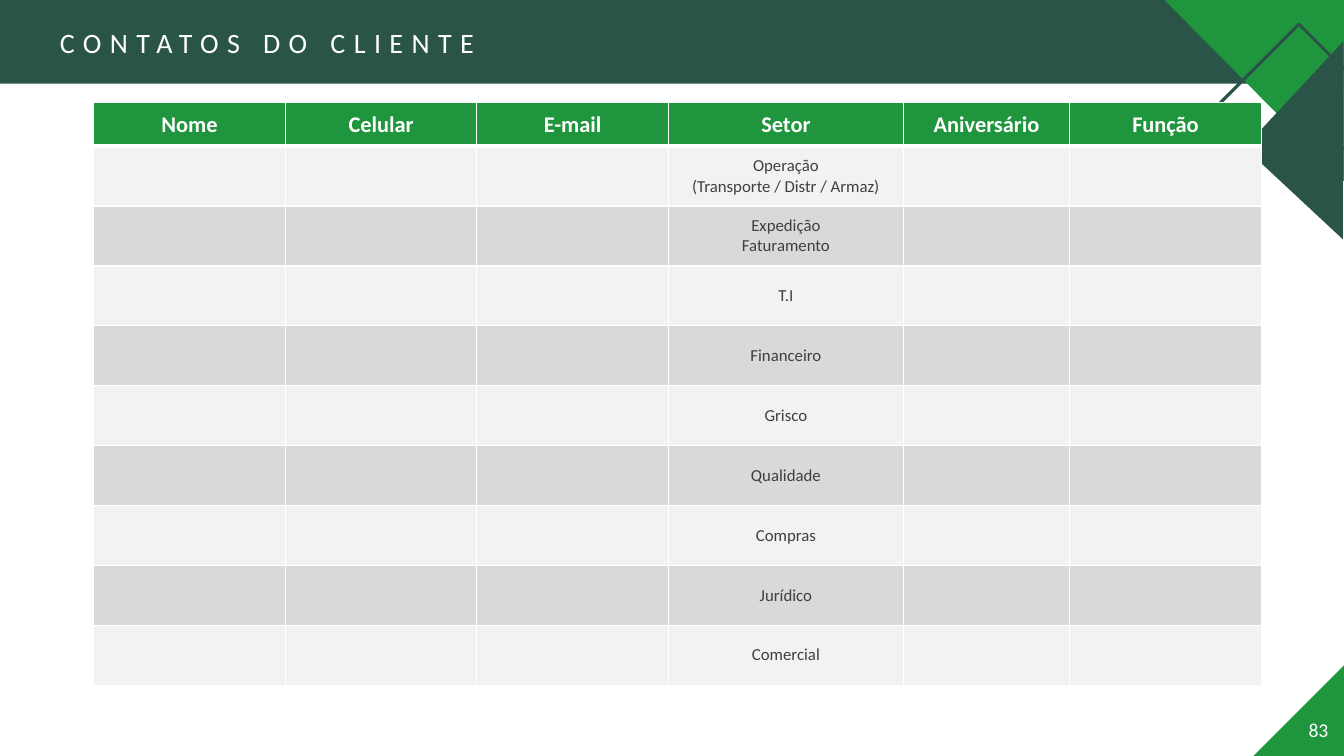
from dataclasses import dataclass

from lxml import etree
from pptx import Presentation
from pptx.dml.color import RGBColor
from pptx.enum.shapes import MSO_SHAPE
from pptx.enum.text import MSO_ANCHOR, MSO_AUTO_SIZE, PP_ALIGN
from pptx.oxml.ns import qn
from pptx.util import Inches, Pt

RECTANGLE = MSO_SHAPE.RECTANGLE
TRIANGLE = MSO_SHAPE.RIGHT_TRIANGLE
LEFT, CENTER = PP_ALIGN.LEFT, PP_ALIGN.CENTER
TOP, MIDDLE = MSO_ANCHOR.TOP, MSO_ANCHOR.MIDDLE
NO_AUTOFIT = MSO_AUTO_SIZE.NONE
TITLE_ONLY_LAYOUT = 5


@dataclass(frozen=True)
class Theme:
    font: str = "Calibri"
    green: str = "1F953D"
    dark: str = "2A5448"
    white: str = "FFFFFF"
    text: str = "3F3F3F"
    bands: tuple = ("F2F2F2", "D9D9D9")
    title_size: int = 20
    header_size: int = 16
    number_size: int = 14
    body_size: int = 12


@dataclass(frozen=True)
class Box:
    left: float
    top: float
    width: float
    height: float

    def share(self, x, y, width, height):
        """Return the box at the given shares of this one."""
        return Box(self.left + x * self.width, self.top + y * self.height,
                   width * self.width, height * self.height)

    def lengths(self):
        return [Inches(value) for value in
                (self.left, self.top, self.width, self.height)]


THEME = Theme()
SLIDE = Box(0, 0, 13.33, 7.5)
BAND = Box(0, 0, 13.33, 0.83)
TOP_CORNER = Box(11.55, 0, 1.78, 2.4)
BOTTOM_CORNER = Box(12.42, 6.59, 0.92, 0.92)
TABLE = Box(0.93, 1.02, 11.59, 5.78)

HEADER_HEIGHT = 0.43
COLUMNS = {"Nome": 1.9, "Celular": 1.9, "E-mail": 1.9,
           "Setor": 2.33, "Aniversário": 1.65, "Função": 1.9}
SECTORS = ["Operação\n(Transporte / Distr / Armaz)", "Expedição\nFaturamento",
           "T.I", "Financeiro", "Grisco", "Qualidade", "Compras", "Jurídico",
           "Comercial"]


def color(value):
    return RGBColor.from_string(value)


def write(frame, text, size, ink=THEME.white, bold=False, align=LEFT,
          anchor=TOP, spacing=0):
    frame.text = text
    frame.vertical_anchor = anchor
    for paragraph in frame.paragraphs:
        paragraph.alignment = align
        for run in paragraph.runs:
            font = run.font
            font.name, font.size, font.bold = THEME.font, Pt(size), bold
            font.color.rgb = color(ink)
            if spacing:
                font._element.set("spc", str(spacing * 100))


def add_figure(slide, kind, box, fill=None, line=None, rotation=0):
    shape = slide.shapes.add_shape(kind, *box.lengths())
    shape.shadow.inherit = False
    shape.rotation = rotation
    if fill:
        shape.fill.solid()
        shape.fill.fore_color.rgb = color(fill)
    else:
        shape.fill.background()
    if line:
        shape.line.color.rgb = color(line)
        shape.line.width = Pt(2.25)
    else:
        shape.line.fill.background()


def add_page_corner(slide, box, number):
    add_figure(slide, TRIANGLE, box, THEME.green, rotation=270)
    label = slide.shapes.add_textbox(*box.share(0.5, 0.53, 0.59, 0.37).lengths())
    write(label.text_frame, number, THEME.number_size)


def add_title_band(slide, box, text):
    add_figure(slide, RECTANGLE, box, THEME.dark)
    title = slide.shapes.title
    title.left, title.top, title.width, title.height = box.share(
        0.037, 0.24, 0.49, 0.53).lengths()
    frame = title.text_frame
    frame.auto_size = NO_AUTOFIT
    frame.word_wrap = True
    write(frame, text, THEME.title_size, spacing=6)
    slide.shapes._spTree.append(title._element)  # in front of the band


def add_top_corner(slide, box):
    add_figure(slide, TRIANGLE, box.share(0, 0, 1, 0.75), THEME.green,
               rotation=180)
    add_figure(slide, TRIANGLE, box.share(0.62, 0.28, 0.75, 0.6), THEME.dark,
               rotation=43)
    add_figure(slide, TRIANGLE, box.share(0.26, 0.25, 0.98, 0.73),
               line=THEME.dark, rotation=135)


def add_borders(cell, bottom):
    properties = cell._tc.get_or_add_tcPr()
    widths = {"a:lnL": 1, "a:lnR": 1, "a:lnT": 1, "a:lnB": bottom}
    for position, (tag, width) in enumerate(widths.items()):
        line = etree.Element(qn(tag), w=str(Pt(width)))
        fill = etree.SubElement(line, qn("a:solidFill"))
        etree.SubElement(fill, qn("a:srgbClr"), val=THEME.white)
        properties.insert(position, line)


def paint_cell(cell, fill, bottom=1):
    cell.fill.solid()
    cell.fill.fore_color.rgb = color(fill)
    add_borders(cell, bottom)


def add_contact_table(slide, box):
    rows = len(SECTORS) + 1
    table = slide.shapes.add_table(rows, len(COLUMNS), *box.lengths()).table
    row_height = (box.height - HEADER_HEIGHT) / len(SECTORS)
    for index, row in enumerate(table.rows):
        row.height = Inches(row_height if index else HEADER_HEIGHT)
    sector_column = list(COLUMNS).index("Setor")
    for column, (heading, width) in enumerate(COLUMNS.items()):
        table.columns[column].width = Inches(width)
        header = table.cell(0, column)
        write(header.text_frame, heading, THEME.header_size, bold=True,
              align=CENTER)
        header.vertical_anchor = MIDDLE
        paint_cell(header, THEME.green, bottom=3)
        for row, sector in enumerate(SECTORS):
            cell = table.cell(row + 1, column)
            paint_cell(cell, THEME.bands[row % 2])
            if column == sector_column:
                write(cell.text_frame, sector, THEME.body_size,
                      ink=THEME.text, align=CENTER)
                cell.vertical_anchor = MIDDLE


def main():
    presentation = Presentation()
    presentation.slide_width = Inches(SLIDE.width)
    presentation.slide_height = Inches(SLIDE.height)
    layout = presentation.slide_layouts[TITLE_ONLY_LAYOUT]
    slide = presentation.slides.add_slide(layout)
    add_page_corner(slide, BOTTOM_CORNER, "83")
    add_title_band(slide, BAND, "CONTATOS DO CLIENTE")
    add_top_corner(slide, TOP_CORNER)
    add_contact_table(slide, TABLE)
    presentation.save("out.pptx")


if __name__ == "__main__":
    main()
